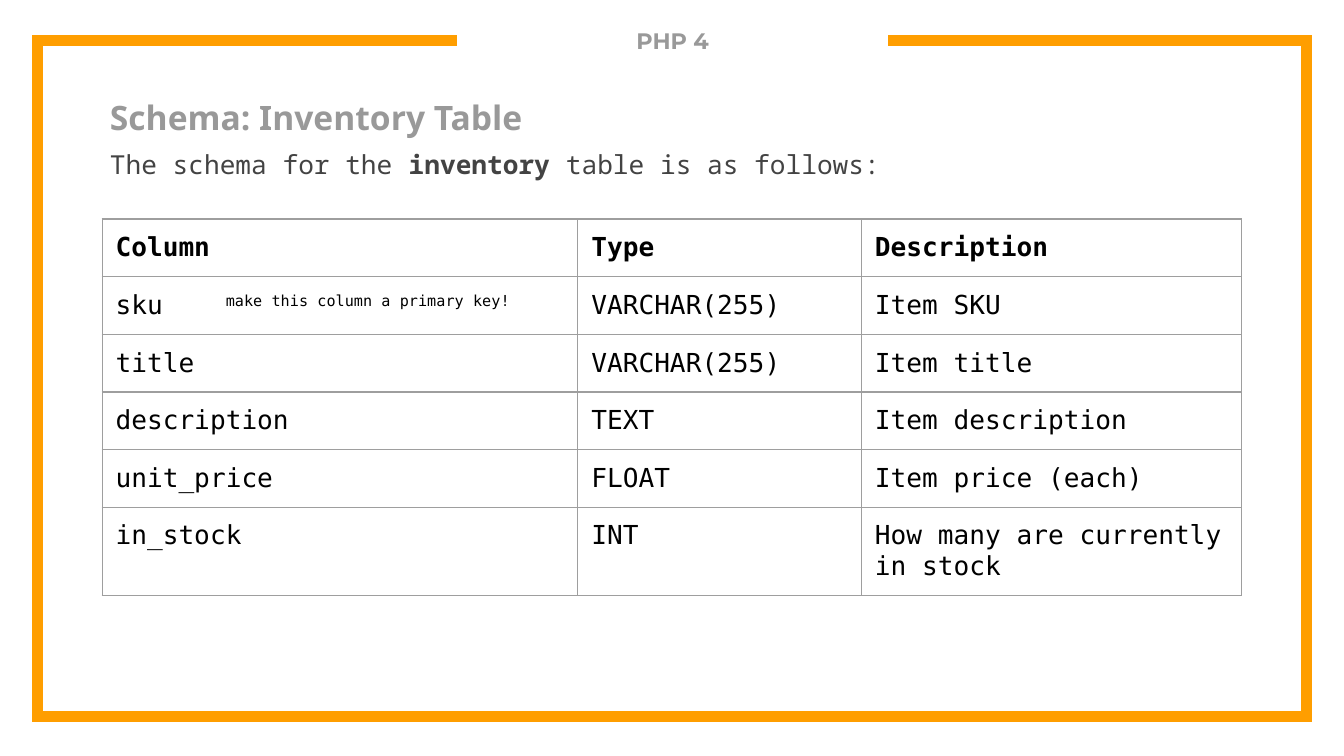
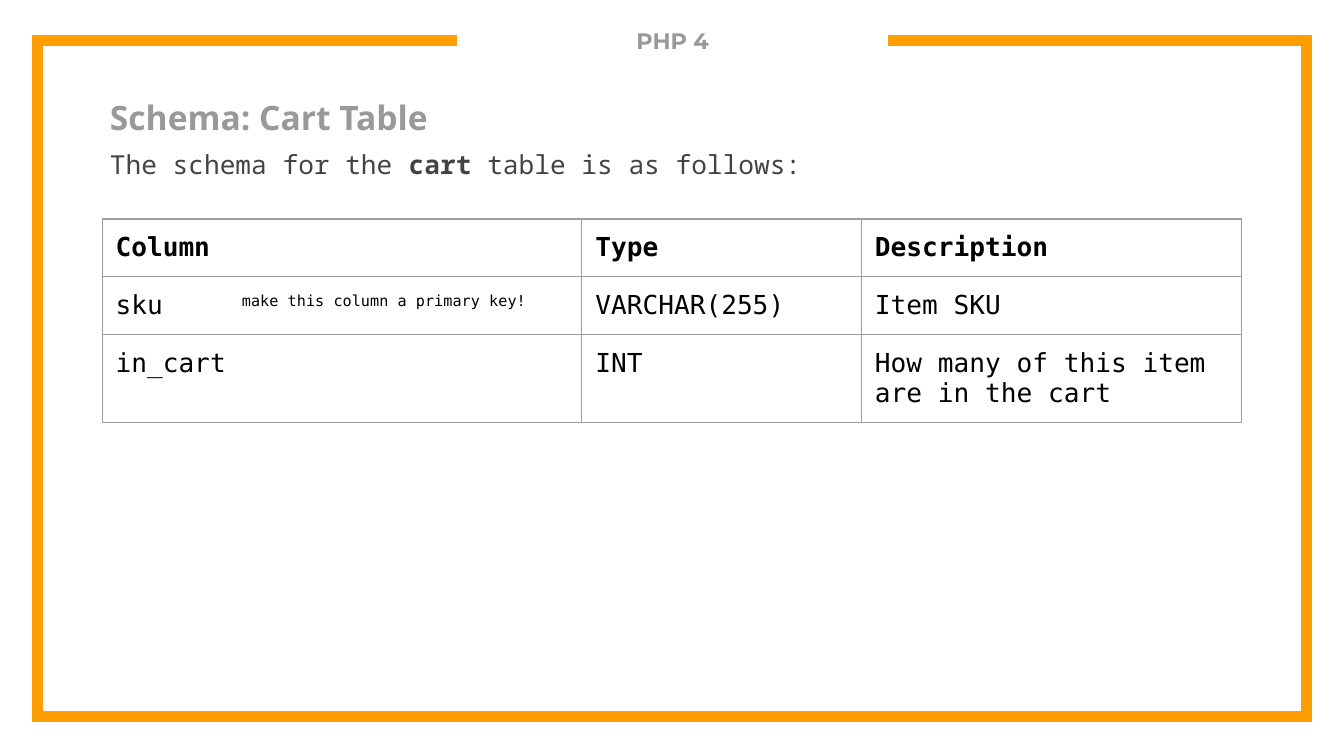
from lxml import etree
from pptx import Presentation
from pptx.dml.color import RGBColor
from pptx.enum.text import MSO_ANCHOR, MSO_AUTO_SIZE, PP_ALIGN
from pptx.oxml.ns import qn
from pptx.util import Inches, Pt

TOP, NO_FIT = MSO_ANCHOR.TOP, MSO_AUTO_SIZE.NONE
LEFT, CENTER = PP_ALIGN.LEFT, PP_ALIGN.CENTER

COLORS = {"frame": "FF9E00", "heading": "999999", "body": "434343",
          "table": "000000", "border": "9E9E9E", "paper": "FFFFFF"}
LABEL_FONT, HEADING_FONT = "Montserrat", "Noto Sans"
BODY_FONT, TABLE_FONT = "Noto Sans Mono", "DejaVu Sans Mono"

# Content
COURSE = "PHP 4"
HEADER = ("Column", "Type", "Description")
KEY_NOTE = "make this column a primary key!"
SCHEMAS = [
    {"heading": "Schema: Inventory Table", "table": "inventory",
     "label_height": 0.45, "widths": (3.54, 2.11, 2.83), "note_tab": 0.82,
     "rows": [("sku", "VARCHAR(255)", "Item SKU"),
              ("title", "VARCHAR(255)", "Item title"),
              ("description", "TEXT", "Item description"),
              ("unit_price", "FLOAT", "Item price (each)"),
              ("in_stock", "INT", "How many are currently in stock")]},
    {"heading": "Schema: Cart Table", "table": "cart",
     "label_height": 0.8, "widths": (3.57, 2.08, 2.83), "note_tab": 0.94,
     "rows": [("sku", "VARCHAR(255)", "Item SKU"),
              ("in_cart", "INT", "How many of this item are in the cart")]},
]

# Layout, in inches
SLIDE_WIDTH = 10
FRAME = [(3.4, 0.3), (0.28, 0.3), (0.28, 5.33),
         (9.72, 5.33), (9.72, 0.3), (6.61, 0.3)]
TABLE_LEFT, TABLE_TOP = 0.76, 1.63
HEADER_HEIGHT, ROW_HEIGHT, LAST_HEIGHT = 0.32, 0.42, 0.65
INSET = Inches(0.1)


def write(paragraph, text, *, font, size, color, bold=False, align=LEFT,
          before=0, raised=None):
    """Append one formatted run to a paragraph."""
    paragraph.alignment = align
    paragraph.space_before = Pt(before)
    run = paragraph.add_run()
    run.text = text
    run.font.name, run.font.size, run.font.bold = font, Pt(size), bold
    run.font.color.rgb = RGBColor.from_string(COLORS[color])
    if raised:
        run.font._element.set("baseline", str(raised * 1000))


def prepare(text_frame):
    text_frame.word_wrap = True
    text_frame.auto_size = NO_FIT
    text_frame.vertical_anchor = TOP
    text_frame.margin_left = text_frame.margin_right = INSET
    text_frame.margin_top = text_frame.margin_bottom = INSET


def add_frame(slide):
    points = [(Inches(x), Inches(y)) for x, y in FRAME]
    builder = slide.shapes.build_freeform(*points[0])
    builder.add_line_segments(points[1:], close=False)
    frame = builder.convert_to_shape()
    frame.shadow.inherit = False
    frame.fill.background()
    frame.line.color.rgb = RGBColor.from_string(COLORS["frame"])
    frame.line.width = Pt(6)
    etree.SubElement(frame.line._get_or_add_ln(), qn("a:miter"), lim="800000")


def add_label(slide, height):
    label = slide.shapes.title
    label.left, label.top = Inches(3.55), Inches(0.1)
    label.width, label.height = Inches(2.91), Inches(height)
    label.fill.solid()
    label.fill.fore_color.rgb = RGBColor.from_string(COLORS["paper"])
    prepare(label.text_frame)
    write(label.text_frame.paragraphs[0], COURSE, font=LABEL_FONT, size=12,
          color="heading", bold=True, align=CENTER)


def add_intro(slide, heading, table_name):
    intro = slide.shapes.add_textbox(Inches(0.72), Inches(0.62),
                                     Inches(8.33), Inches(4.57)).text_frame
    prepare(intro)
    write(intro.paragraphs[0], heading, font=HEADING_FONT, size=18,
          color="heading", bold=True, before=6)
    sentence = intro.add_paragraph()
    for text, bold in (("The schema for the ", False), (table_name, True),
                       (" table is as follows:", False)):
        write(sentence, text, font=BODY_FONT, size=14, color="body",
              bold=bold, before=6)


def format_cell(cell):
    cell.margin_left = cell.margin_right = INSET
    cell.margin_top = cell.margin_bottom = INSET
    cell.fill.background()
    properties = cell._tc.get_or_add_tcPr()
    for position, side in enumerate(("lnL", "lnR", "lnT", "lnB")):
        border = etree.Element(qn(f"a:{side}"), w=str(Pt(0.75)))
        fill = etree.SubElement(border, qn("a:solidFill"))
        etree.SubElement(fill, qn("a:srgbClr"), val=COLORS["border"])
        properties.insert(position, border)


def add_key_note(paragraph, tab):
    write(paragraph, "\t" + KEY_NOTE, font=TABLE_FONT, size=14,
          color="table", raised=30)
    stops = etree.SubElement(paragraph._p.get_or_add_pPr(), qn("a:tabLst"))
    etree.SubElement(stops, qn("a:tab"), pos=str(Inches(tab)), algn="l")


def add_schema(slide, widths, rows, note_tab):
    lines = [HEADER, *rows]
    heights = [HEADER_HEIGHT] + [ROW_HEIGHT] * (len(rows) - 1) + [LAST_HEIGHT]
    table = slide.shapes.add_table(
        len(lines), len(HEADER), Inches(TABLE_LEFT), Inches(TABLE_TOP),
        Inches(sum(widths)), Inches(sum(heights))).table
    table.first_row = table.horz_banding = False
    for column, width in zip(table.columns, widths):
        column.width = Inches(width)
    for r, (line, height) in enumerate(zip(lines, heights)):
        table.rows[r].height = Inches(height)
        for c, text in enumerate(line):
            cell = table.cell(r, c)
            format_cell(cell)
            write(cell.text_frame.paragraphs[0], text, font=TABLE_FONT,
                  size=14, color="table", bold=r == 0)
    # The first column listed is the primary key
    add_key_note(table.cell(1, 0).text_frame.paragraphs[0], note_tab)


def main():
    deck = Presentation()
    deck.slide_width = Inches(SLIDE_WIDTH)
    deck.slide_height = Inches(SLIDE_WIDTH * 9 / 16)
    for schema in SCHEMAS:
        slide = deck.slides.add_slide(deck.slide_layouts[5])
        add_frame(slide)
        add_label(slide, schema["label_height"])
        add_intro(slide, schema["heading"], schema["table"])
        add_schema(slide, schema["widths"], schema["rows"], schema["note_tab"])
    deck.save("out.pptx")


if __name__ == "__main__":
    main()
